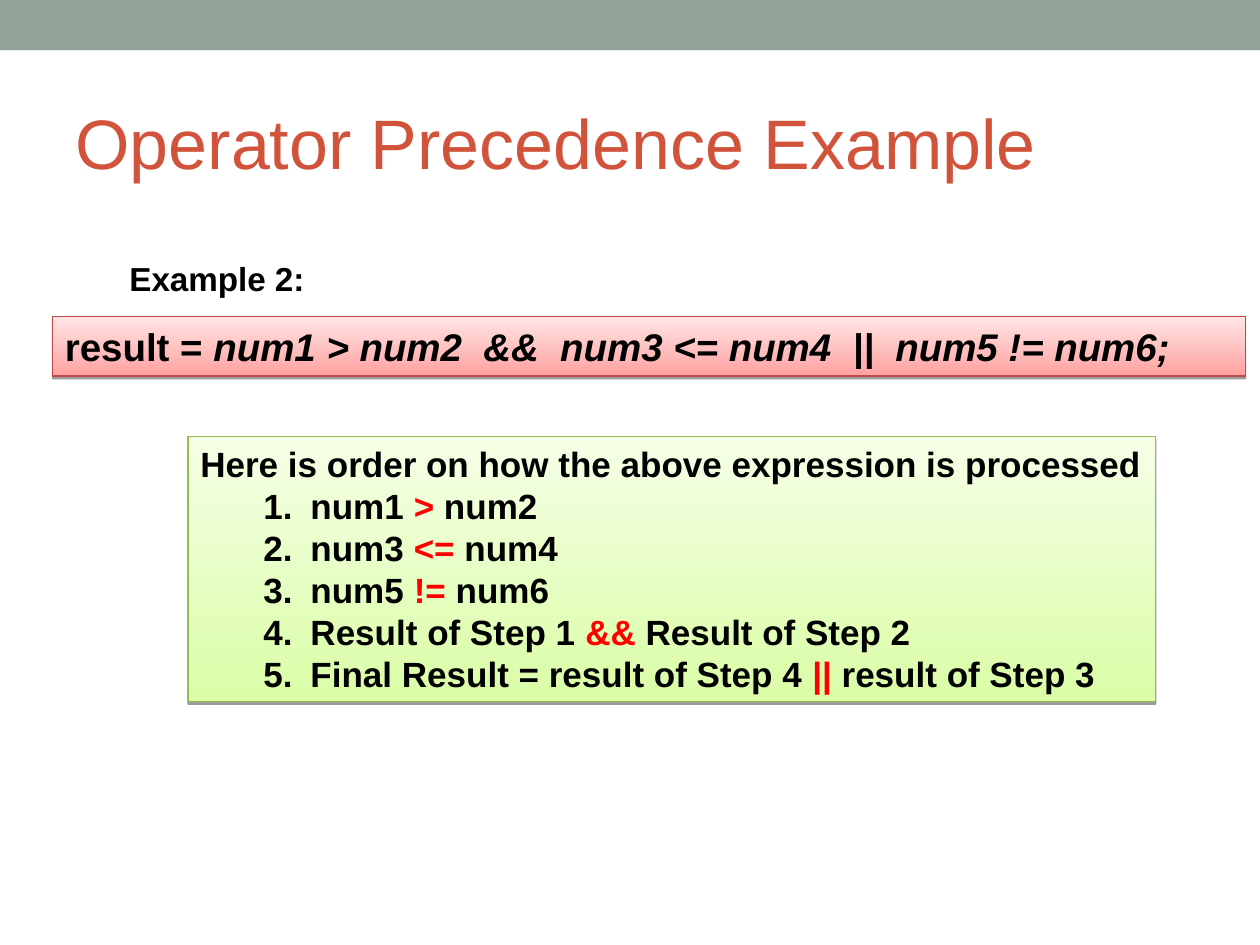
from lxml.etree import SubElement
from pptx import Presentation
from pptx.dml.color import RGBColor
from pptx.enum.shapes import MSO_SHAPE
from pptx.enum.text import MSO_ANCHOR, MSO_AUTO_SIZE, PP_ALIGN
from pptx.oxml.ns import qn
from pptx.util import Cm, Pt

COLORS = {
    "banner": "93A299", "title": "D2533C", "text": "000000", "operator": "FF0000",
    "red_low": "FFA2A1", "red_high": "FFE5E5", "red_line": "BE4B48",
    "green_low": "DAFDA7", "green_high": "F5FFE6", "green_line": "98B954",
}
STEPS = [
    ("num1 ", ">", " num2"),
    ("num3 ", "<=", " num4"),
    ("num5 ", "!=", " num6"),
    ("Result of Step 1 ", "&&", " Result of Step 2"),
    ("Final Result = result of Step 4 ", "||", " result of Step 3"),
]


class SlideBuilder:
    """Holds the style and the current slide, and adds each kind of element."""

    def __init__(self, prs, font="Arial"):
        self.font = font
        self.s = prs.slides.add_slide(prs.slide_layouts[5])

    def rgb(self, name):
        return RGBColor.from_string(COLORS[name])

    def place(self, sp, box):
        for name, value in zip(("left", "top", "width", "height"), box):
            setattr(sp, name, Cm(value))

    def frame(self, tf, wrap=True, anchor=MSO_ANCHOR.TOP):
        values = {"word_wrap": wrap, "vertical_anchor": anchor,
                  "auto_size": MSO_AUTO_SIZE.NONE}
        for name, value in values.items():
            setattr(tf, name, value)

    def run(self, p, text, size, color="text", **values):
        r = p.add_run()
        r.text = text
        r.font.color.rgb = self.rgb(color)
        for name, value in {"name": self.font, "size": Pt(size), **values}.items():
            setattr(r.font, name, value)

    def title(self, text, box):
        sp = self.s.shapes.title
        self.place(sp, box)
        self.frame(sp.text_frame, anchor=MSO_ANCHOR.MIDDLE)
        p = sp.text_frame.paragraphs[0]
        p.alignment = PP_ALIGN.LEFT
        self.run(p, text, 40, "title")

    def rect(self, box):
        sp = self.s.shapes.add_shape(MSO_SHAPE.RECTANGLE, *map(Cm, box))
        sp.shadow.inherit = False
        return sp

    def banner(self, box):
        sp = self.rect(box)
        sp.fill.solid()
        sp.fill.fore_color.rgb = self.rgb("banner")
        sp.line.fill.background()

    def panel(self, box, tone):
        sp = self.rect(box)
        sp.fill.gradient()
        sp.fill.gradient_angle = 90
        for stop, end in zip(sp.fill.gradient_stops, ("low", "high")):
            stop.color.rgb = self.rgb(f"{tone}_{end}")
        sp.line.color.rgb = self.rgb(f"{tone}_line")
        sp.line.width = Pt(0.75)
        effects = sp._element.spPr.find(qn("a:effectLst"))
        shadow = SubElement(effects, qn("a:outerShdw"), blurRad="0", dist=str(Pt(1.6)),
                            dir="5400000", rotWithShape="0")
        color = SubElement(shadow, qn("a:srgbClr"), val=COLORS["text"])
        SubElement(color, qn("a:alpha"), val="38000")
        self.frame(sp.text_frame)
        sp.text_frame.paragraphs[0].alignment = PP_ALIGN.LEFT
        return sp.text_frame

    def label(self, text, box, size):
        tf = self.s.shapes.add_textbox(*map(Cm, box)).text_frame
        self.frame(tf, wrap=False)
        self.run(tf.paragraphs[0], text, size, bold=True)

    def step(self, tf, parts, size):
        p = tf.add_paragraph()
        p.alignment = PP_ALIGN.LEFT
        p.level = 1
        pPr = p._p.get_or_add_pPr()
        for name, value in {"marL": Cm(2.22), "indent": Cm(-0.95)}.items():
            pPr.set(name, str(value))
        SubElement(SubElement(pPr, qn("a:buClr")), qn("a:srgbClr"), val=COLORS["text"])
        SubElement(pPr, qn("a:buFont"), typeface=self.font)
        SubElement(pPr, qn("a:buAutoNum"), type="arabicPeriod")
        for text, color in zip(parts, ("text", "operator", "text")):
            self.run(p, text, size, color, bold=True)


def main():
    prs = Presentation()
    prs.slide_width, prs.slide_height = Cm(25.4), Cm(19.05)
    b = SlideBuilder(prs)
    b.banner((0, 0, 25.4, 1.01))
    b.title("Operator Precedence Example", (1.27, 1.48, 22.86, 2.75))

    p = b.panel((1.06, 6.38, 24.05, 1.2), "red").paragraphs[0]
    b.run(p, "result = ", 22, bold=True)
    b.run(p, "num1 > num2  &&  num3 <= num4  ||  num5 != num6;", 22, bold=True, italic=True)

    tf = b.panel((3.79, 8.8, 19.51, 5.34), "green")
    b.run(tf.paragraphs[0], "Here is order on how the above expression is processed", 20, bold=True)
    for parts in STEPS:
        b.step(tf, parts, 20)

    b.label("Example 2:", (2.36, 5.08, 4.22, 1.06), 19)
    prs.save("out.pptx")


if __name__ == "__main__":
    main()
